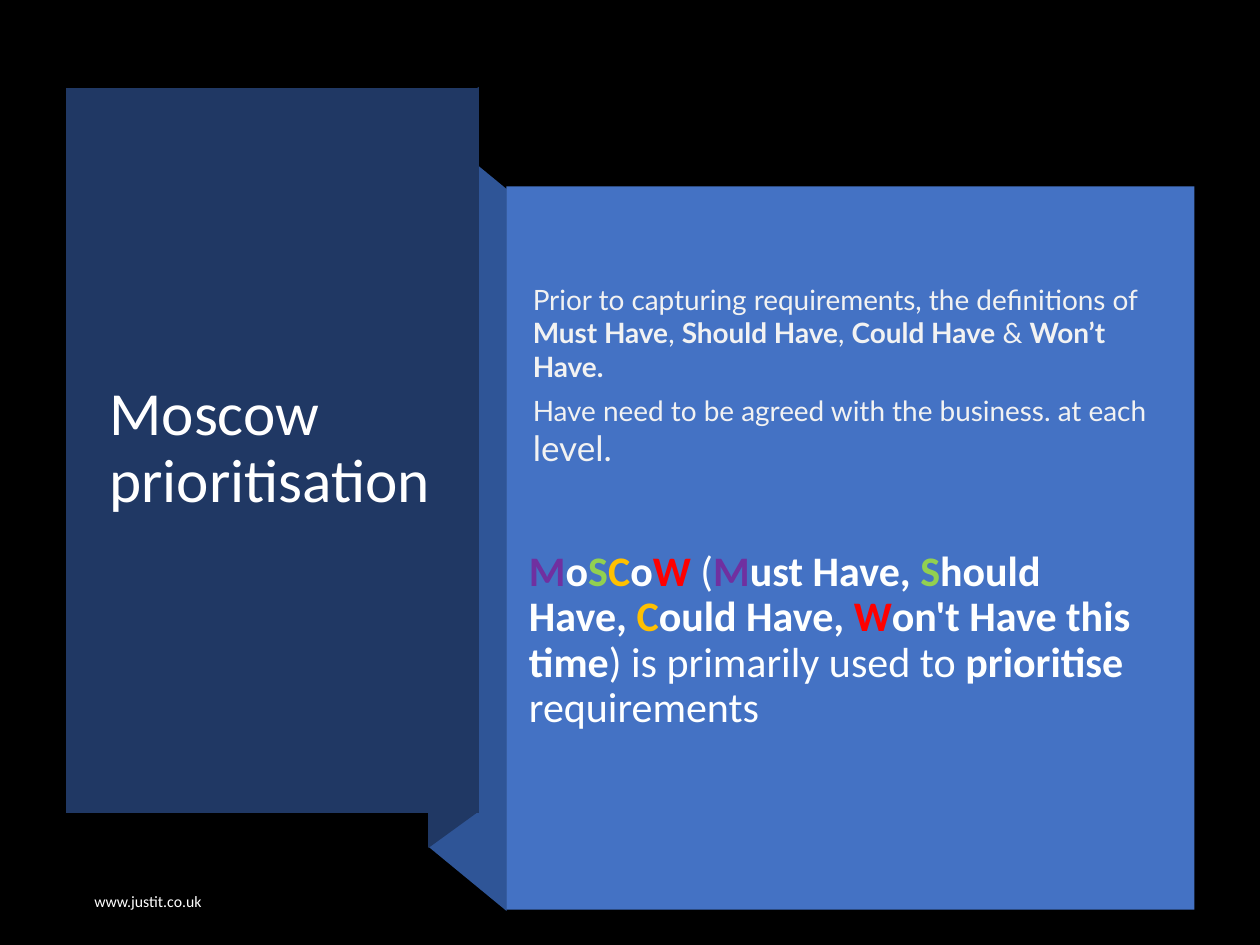
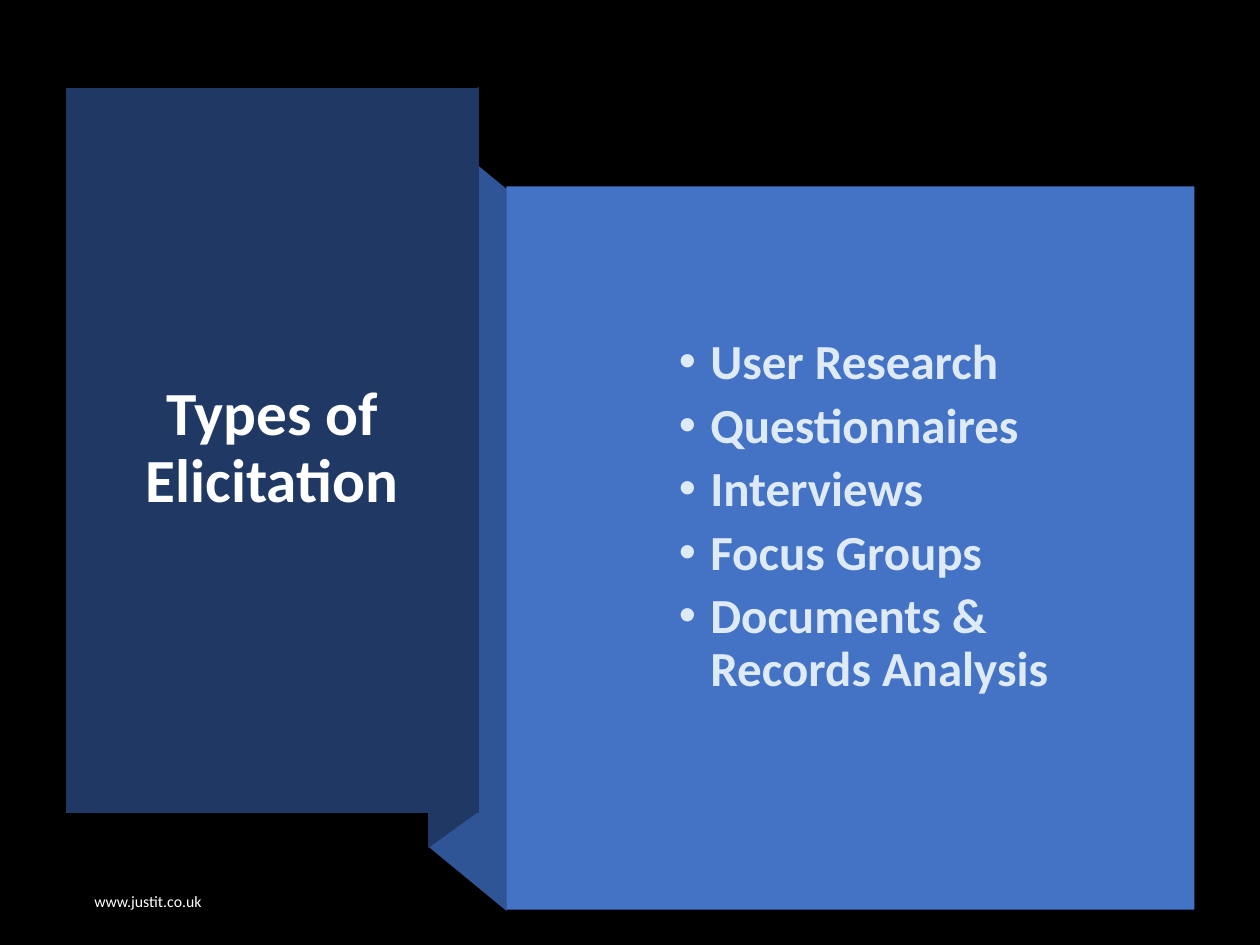
from dataclasses import dataclass

from lxml.etree import SubElement
from pptx import Presentation
from pptx.dml.color import RGBColor
from pptx.enum.shapes import MSO_SHAPE
from pptx.enum.text import MSO_ANCHOR, PP_ALIGN
from pptx.oxml.ns import qn
from pptx.util import Inches, Pt

# Content: a paragraph is a list of (text, look) runs
FOOTER = "www.justit.co.uk"
TERMS = [
    [("Prior to capturing requirements, the definitions of ", "plain"),
     ("Must Have", "bold"), (", ", "plain"),
     ("Should Have", "bold"), (", ", "plain"),
     ("Could Have", "bold"), (" & ", "plain"),
     ("Won’t Have.", "bold")],
    [("Have need to be agreed with the business. at each ", "plain"),
     ("level.", "large")],
]
MOSCOW = [[
    ("M", "must"), ("o", "bold"), ("S", "should"), ("C", "could"),
    ("o", "bold"), ("W", "wont"), (" (", "plain"),
    ("M", "must"), ("ust Have, ", "bold"),
    ("S", "should"), ("hould Have, ", "bold"),
    ("C", "could"), ("ould Have, ", "bold"),
    ("W", "wont"), ("on't Have this time", "bold"),
    (") is primarily used to ", "plain"), ("prioritise ", "bold"),
    ("requirements", "plain"),
]]
TYPES = ["User Research", "Questionnaires", "Interviews", "Focus Groups",
         "Documents & Records Analysis"]


@dataclass(frozen=True)
class Theme:
    back: str = "000000"
    navy: str = "203864"
    fold: str = "2F5597"
    panel: str = "4472C4"
    white: str = "FFFFFF"
    soft: str = "F2F2F2"
    pale: str = "DEEBF7"
    near: str = "FEFFFF"
    font: str = "Calibri"
    alt: str = "Lato"
    title: int = 35
    list: int = 28
    lead: int = 24
    large: int = 20
    body: int = 16
    foot: int = 9


T = Theme()
LETTERS = {"must": "7030A0", "should": "92D050", "could": "FFC000",
           "wont": "FF0000"}

# Ribbon: outline points and colour, from back to front
RIBBON = [
    (T.fold, [(4.02, 7.23), (3.4, 6.72), (3.4, 0.99), (4.02, 1.5)]),
    (T.navy, [(3.8, 6.44), (3.4, 6.73), (3.4, 0.98), (3.8, 0.69)]),
    (T.navy, [(0.52, 0.7), (3.8, 0.7), (3.8, 6.45), (0.52, 6.45)]),
]
PANEL = (4.02, 1.48, 5.46, 5.74)


def paint(shape, color):
    shape.shadow.inherit = False
    shape.fill.solid()
    shape.fill.fore_color.rgb = RGBColor.from_string(color)
    shape.line.fill.background()


def add_runs(para, runs):
    for text, look in runs:
        run = para.add_run()
        run.text = text
        if look == "large":
            run.font.size = Pt(T.large)
        elif look != "plain":
            run.font.bold = True
        if look in LETTERS:
            run.font.color.rgb = RGBColor.from_string(LETTERS[look])


def add_dot(para):
    props = para._p.get_or_add_pPr()
    props.set("marL", str(Inches(0.31)))
    props.set("indent", str(Inches(-0.25)))
    SubElement(props, qn("a:buFont")).set("typeface", "Arial")
    SubElement(props, qn("a:buChar")).set("char", "•")


def add_text(slide, place, paras, size, color, font=T.font, bold=None,
             align=None, lead=1.0, after=6, top=False, dots=False):
    frame = slide.shapes.add_textbox(*map(Inches, place)).text_frame
    frame.word_wrap = True
    frame.vertical_anchor = MSO_ANCHOR.TOP if top else MSO_ANCHOR.MIDDLE
    for i, item in enumerate(paras):
        para = frame.add_paragraph() if i else frame.paragraphs[0]
        para.line_spacing = lead
        para.space_after = Pt(after)
        para.alignment = align
        if dots:
            add_dot(para)
        para.font.name = font
        para.font.size = Pt(size)
        para.font.bold = bold
        para.font.color.rgb = RGBColor.from_string(color)
        add_runs(para, [(item, "plain")] if isinstance(item, str) else item)


def add_base(deck, title, **style):
    """Add a slide with the ribbon, panel, title and footer."""
    slide = deck.slides.add_slide(deck.slide_layouts[6])
    slide.background.fill.solid()
    slide.background.fill.fore_color.rgb = RGBColor.from_string(T.back)
    for color, points in RIBBON:
        start, *rest = [(Inches(x), Inches(y)) for x, y in points]
        pen = slide.shapes.build_freeform(*start)
        pen.add_line_segments(rest, close=True)
        paint(pen.convert_to_shape(), color)
    add_text(slide, (0.77, 1.07, 2.78, 4.99), [title], T.title, T.white,
             lead=0.9, after=0, **style)
    panel = slide.shapes.add_shape(MSO_SHAPE.RECTANGLE, *map(Inches, PANEL))
    paint(panel, T.panel)
    add_text(slide, (0.65, 6.98, 5.54, 0.35), [FOOTER], T.foot, T.white)
    return slide


def main():
    deck = Presentation()
    deck.slide_width, deck.slide_height = Inches(10), Inches(7.5)

    # Moscow prioritisation
    slide = add_base(deck, "Moscow prioritisation")
    add_text(slide, (4.1, 4.28, 5.1, 1.61), MOSCOW, T.lead, T.near, lead=0.9)
    add_text(slide, (4.13, 2.19, 5.19, 1.6), TERMS, T.body, T.soft,
             font=T.alt, top=True)

    # Types of elicitation
    slide = add_base(deck, "Types of Elicitation", bold=True,
                     align=PP_ALIGN.CENTER)
    add_text(slide, (5.23, 2.57, 3.29, 3.07), TYPES, T.list, T.pale,
             bold=True, lead=0.9, dots=True)

    deck.save("out.pptx")


if __name__ == "__main__":
    main()
